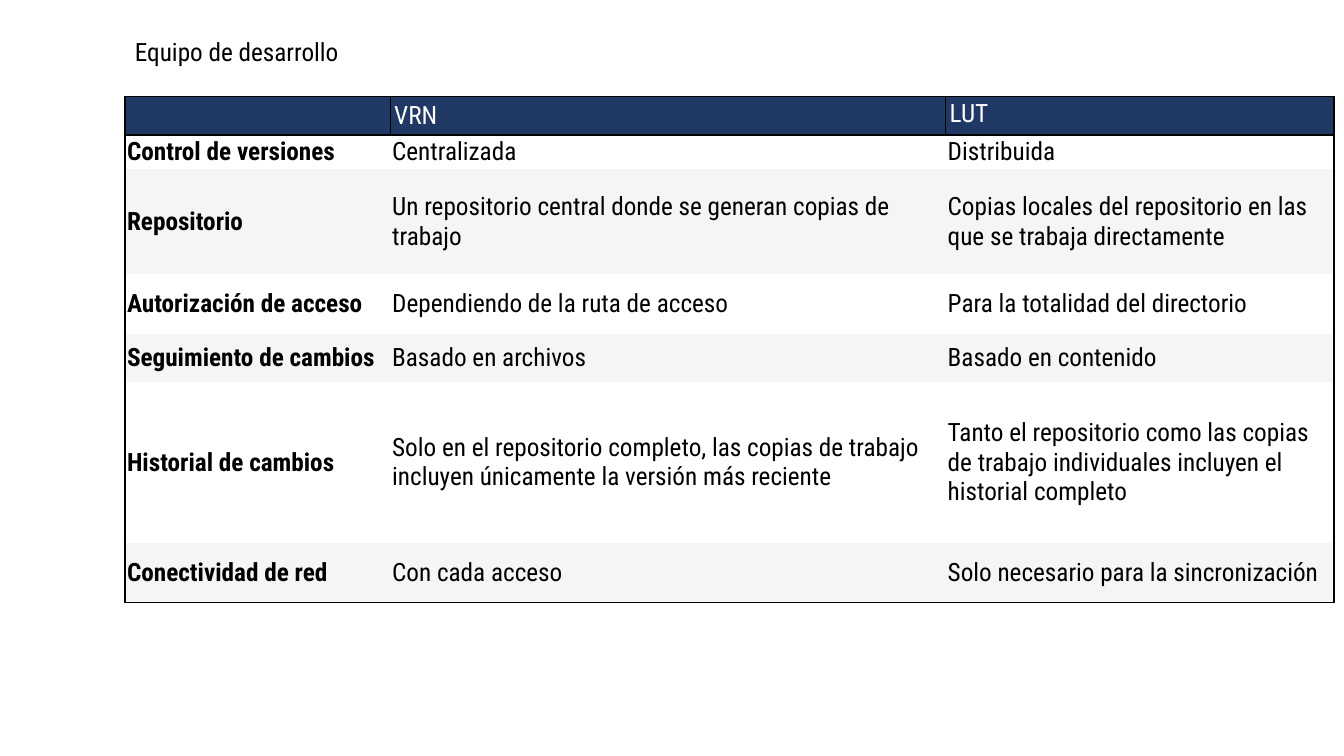
"""Build a slide with a table comparing two version control systems."""
import pptx
import pptx.util
import pptx.dml.color
import pptx.enum.text
import pptx.oxml
import pptx.oxml.ns

Inches, Pt = pptx.util.Inches, pptx.util.Pt
MIDDLE = pptx.enum.text.MSO_ANCHOR.MIDDLE
TOP = pptx.enum.text.MSO_ANCHOR.TOP

TITLE = "Equipo de desarrollo"
ROWS = [
    ("", "VRN", "LUT"),
    ("Control de versiones", "Centralizada", "Distribuida"),
    ("Repositorio",
     "Un repositorio central donde se generan copias de trabajo",
     "Copias locales del repositorio en las que se trabaja directamente"),
    ("Autorización de acceso", "Dependiendo de la ruta de acceso",
     "Para la totalidad del directorio"),
    ("Seguimiento de cambios", "Basado en archivos", "Basado en contenido"),
    ("Historial de cambios",
     "Solo en el repositorio completo, las copias de trabajo incluyen "
     "únicamente la versión más reciente",
     "Tanto el repositorio como las copias de trabajo individuales "
     "incluyen el historial completo"),
    ("Conectividad de red", "Con cada acceso",
     "Solo necesario para la sincronización"),
]
COL_WIDTHS = [2.63, 5.51, 3.85]
ROW_HEIGHTS = [0.38, 0.33, 1.04, 0.59, 0.48, 1.6, 0.59]
LEFT, TABLE_TOP = 1.24, 0.96
FONT, BLACK, WHITE, NAVY, GREY = "Roboto Condensed", "000000", "FFFFFF", "203864", "F5F5F5"


def rgb(value):
    return pptx.dml.color.RGBColor.from_string(value)


def write(tf, text, color=BLACK, bold=False, size=18):
    tf.word_wrap = True
    r = tf.paragraphs[0].add_run()
    r.text = text
    r.font.name, r.font.size, r.font.bold = FONT, Pt(size), bold
    r.font.color.rgb = rgb(color)


def set_borders(cell, sides):
    tc_pr = cell._tc.get_or_add_tcPr()
    for i, side in enumerate("LRTB"):
        line = (f'<a:solidFill><a:srgbClr val="{BLACK}"/></a:solidFill>'
                if side in sides else "<a:noFill/>")
        tc_pr.insert(i, pptx.oxml.parse_xml(
            f'<a:ln{side} {pptx.oxml.ns.nsdecls("a")} w="{Pt(1)}">{line}</a:ln{side}>'))


def fill_cell(cell, text, row, col):
    header = row == 0
    last_row, last_col = len(ROWS) - 1, len(COL_WIDTHS) - 1
    top_aligned = header and col == last_col
    cell.vertical_anchor = TOP if top_aligned else MIDDLE
    cell.margin_left = cell.margin_right = Inches(0.04 if header else 0.02)
    cell.margin_top = cell.margin_bottom = Inches(
        0.04 if header and not top_aligned else 0.02)
    cell.fill.solid()
    cell.fill.fore_color.rgb = rgb(NAVY if header else WHITE if row % 2 else GREY)
    write(cell.text_frame, text, color=WHITE if header else BLACK,
          bold=col == 0 and not header)
    edges = {"L": header or col == 0, "R": header or col == last_col,
             "T": row <= 1, "B": header or row == last_row}
    set_borders(cell, [side for side, drawn in edges.items() if drawn])


def main():
    prs = pptx.Presentation()
    prs.slide_width, prs.slide_height = Inches(13.33), Inches(7.5)
    s = prs.slides.add_slide(prs.slide_layouts[6])

    title = s.shapes.add_textbox(Inches(LEFT), Inches(0.31), Inches(10.7), Inches(0.4))
    write(title.text_frame, TITLE)
    title.text_frame.auto_size = pptx.enum.text.MSO_AUTO_SIZE.SHAPE_TO_FIT_TEXT

    table = s.shapes.add_table(
        len(ROWS), len(COL_WIDTHS), Inches(LEFT), Inches(TABLE_TOP),
        Inches(sum(COL_WIDTHS)), Inches(sum(ROW_HEIGHTS))).table
    for column, width in zip(table.columns, COL_WIDTHS):
        column.width = Inches(width)
    for row, (height, texts) in enumerate(zip(ROW_HEIGHTS, ROWS)):
        table.rows[row].height = Inches(height)
        for col, text in enumerate(texts):
            fill_cell(table.cell(row, col), text, row, col)

    prs.save("out.pptx")


if __name__ == "__main__":
    main()
